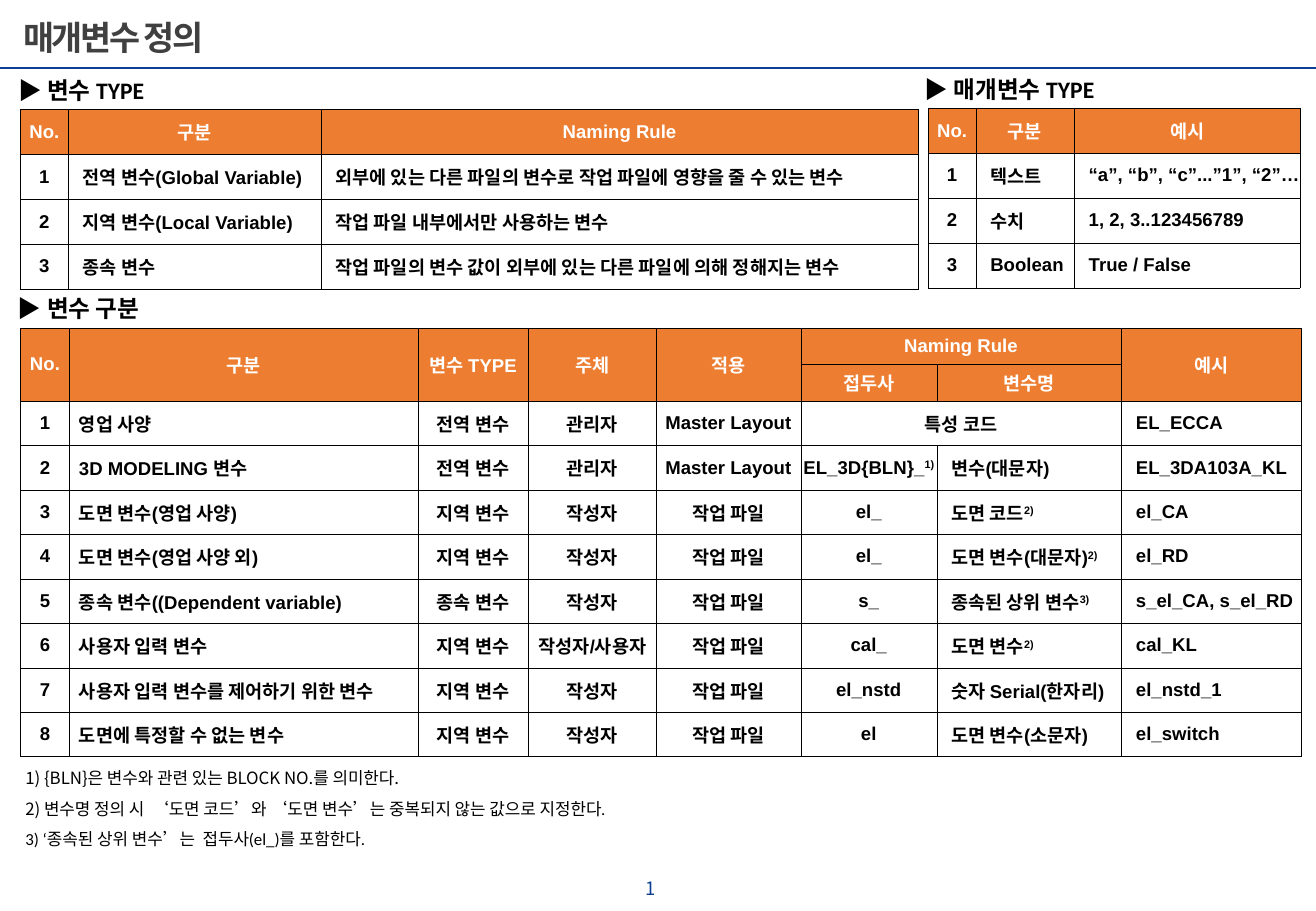
from lxml.etree import SubElement
from pptx import Presentation
from pptx.dml.color import RGBColor as Rgb
from pptx.enum.shapes import MSO_CONNECTOR as Connector
from pptx.enum.text import MSO_ANCHOR as Anchor, MSO_AUTO_SIZE as AutoSize, PP_ALIGN as Align
from pptx.oxml import parse_xml
from pptx.oxml.ns import nsdecls, qn
from pptx.util import Inches, Pt

COLORS = {"orange": "ED7D31", "blue": "0D3F93", "grey": "404040",
          "black": "000000", "white": "FFFFFF"}
KOREAN = "Noto Sans CJK KR"
LATIN = "Calibri"

TYPE_ROWS = [
    ["No.", "구분", "Naming Rule"],
    ["1", "전역 변수(Global Variable)", "외부에 있는 다른 파일의 변수로 작업 파일에 영향을 줄 수 있는 변수"],
    ["2", "지역 변수(Local Variable)", "작업 파일 내부에서만 사용하는 변수"],
    ["3", "종속 변수", "작업 파일의 변수 값이 외부에 있는 다른 파일에 의해 정해지는 변수"],
]
PARAMETER_ROWS = [
    ["No.", "구분", "예시"],
    ["1", "텍스트", "“a”, “b”, “c”...”1”, “2”…"],
    ["2", "수치", "1, 2, 3..123456789"],
    ["3", "Boolean", "True / False"],
]
# A caret starts a superscript
VARIABLE_ROWS = [
    ["No.", "구분", "변수 TYPE", "주체", "적용", "Naming Rule", "", "예시"],
    ["", "", "", "", "", "접두사", "변수명", ""],
    ["1", "영업 사양", "전역 변수", "관리자", "Master Layout", "특성 코드", "", "EL_ECCA"],
    ["2", "3D MODELING 변수", "전역 변수", "관리자", "Master Layout",
     "EL_3D{BLN}_^1)", "변수(대문자)", "EL_3DA103A_KL"],
    ["3", "도면 변수(영업 사양)", "지역 변수", "작성자", "작업 파일", "el_", "도면 코드^2)", "el_CA"],
    ["4", "도면 변수(영업 사양 외)", "지역 변수", "작성자", "작업 파일",
     "el_", "도면 변수(대문자)^2)", "el_RD"],
    ["5", "종속 변수((Dependent variable)", "종속 변수", "작성자", "작업 파일",
     "s_", "종속된 상위 변수^3)", "s_el_CA, s_el_RD"],
    ["6", "사용자 입력 변수", "지역 변수", "작성자/사용자", "작업 파일",
     "cal_", "도면 변수^2)", "cal_KL"],
    ["7", "사용자 입력 변수를 제어하기 위한 변수", "지역 변수", "작성자", "작업 파일",
     "el_nstd", "숫자 Serial(한자리)", "el_nstd_1"],
    ["8", "도면에 특정할 수 없는 변수", "지역 변수", "작성자", "작업 파일",
     "el", "도면 변수(소문자)", "el_switch"],
]
HEADER_SPANS = [((0, col), (1, col)) for col in (0, 1, 2, 3, 4, 7)]
VARIABLE_SPANS = HEADER_SPANS + [((0, 5), (0, 6)), ((2, 5), (2, 6))]
NOTES = [
    [("1) {BLN}은 변수와 관련 있는 BLOCK NO.를 의미한다.", KOREAN)],
    [("2) ", KOREAN),
     ("변수명 정의 시  ‘도면 코드’와 ‘도면 변수’는 중복되지 않는 값으로 지정한다.", LATIN)],
    [("3) ‘종속된 상위 변수’는  접두사(el_)를 포함한다.", LATIN)],
]


def set_values(target, values):
    for name, value in values.items():
        setattr(target, name, value)


def add_span(para, text, font, size, color, bold=False):
    span = para.add_run()
    span.text = text
    set_values(span.font, {"name": font, "size": Pt(size), "bold": bold})
    span.font.color.rgb = Rgb.from_string(COLORS[color])
    SubElement(span.font._element, qn("a:ea"), typeface=KOREAN)
    return span


def add_frame(page, box, **values):
    frame = page.shapes.add_textbox(*map(Inches, box)).text_frame
    set_values(frame, {"word_wrap": True, **values})
    return frame


def add_title(page, box):
    frame = add_frame(page, box, word_wrap=False, vertical_anchor=Anchor.MIDDLE,
                      margin_left=Inches(0.08), margin_right=Inches(0.08),
                      margin_top=0, margin_bottom=0)
    span = add_span(frame.paragraphs[0], "매개변수 정의", KOREAN, 20, "grey", True)
    span.font._element.set("spc", "-140")


def add_rule(page, width, top):
    rule = page.shapes.add_connector(
        Connector.STRAIGHT, 0, Inches(top), Inches(width), Inches(top))
    rule.line.color.rgb = Rgb.from_string(COLORS["blue"])
    rule.line.width = Pt(1.2)
    SubElement(rule._element.spPr, qn("a:effectLst"))


def add_heading(page, box, text):
    frame = add_frame(page, box, auto_size=AutoSize.SHAPE_TO_FIT_TEXT)
    add_span(frame.paragraphs[0], text, LATIN, 14, "black", True)


def add_borders(cell):
    props = cell._tc.get_or_add_tcPr()
    for index, side in enumerate(("lnL", "lnR", "lnT", "lnB")):
        props.insert(index, parse_xml(
            f'<a:{side} {nsdecls("a")} w="3175"><a:solidFill>'
            f'<a:srgbClr val="{COLORS["black"]}"/></a:solidFill></a:{side}>'))


def fill_cell(cell, text, indent, is_header):
    centred = is_header or indent is None
    set_values(cell, {
        "margin_left": 0 if centred else Inches(indent), "margin_right": 0,
        "margin_top": 0, "margin_bottom": 0, "vertical_anchor": Anchor.MIDDLE})
    if is_header:
        cell.fill.solid()
        cell.fill.fore_color.rgb = Rgb.from_string(COLORS["orange"])
    else:
        cell.fill.background()
    add_borders(cell)
    para = cell.text_frame.paragraphs[0]
    para.alignment = Align.CENTER if centred else Align.LEFT
    for index, part in enumerate(text.split("^")):
        span = add_span(para, part, "Arial", 11, "white" if is_header else "black", True)
        if index:
            span.font._element.set("baseline", "30000")


def add_grid(page, box, rows, widths, indents, header_heights, spans=()):
    """An indent of None centres its column."""
    table = page.shapes.add_table(len(rows), len(widths), *map(Inches, box)).table
    set_values(table, {"first_row": False, "horz_banding": False})
    for column, width in zip(table.columns, widths):
        column.width = Inches(width)
    headers = len(header_heights)
    body_height = (box[3] - sum(header_heights)) / (len(rows) - headers)
    for index, row in enumerate(table.rows):
        row.height = Inches(header_heights[index] if index < headers else body_height)
    for first, last in spans:
        table.cell(*first).merge(table.cell(*last))
    for row_index, row in enumerate(rows):
        for col_index, text in enumerate(row):
            fill_cell(table.cell(row_index, col_index), text,
                      indents[col_index], row_index < headers)


def add_notes(page, box):
    frame = add_frame(page, box, auto_size=AutoSize.SHAPE_TO_FIT_TEXT)
    for index, parts in enumerate(NOTES):
        para = frame.add_paragraph() if index else frame.paragraphs[0]
        para.line_spacing = 1.5
        for text, font in parts:
            add_span(para, text, font, 10, "black")


def add_page_number(page, box):
    frame = add_frame(page, box)
    add_span(frame.paragraphs[0], "1", KOREAN, 10.9, "blue")


def main():
    deck = Presentation()
    set_values(deck, {"slide_width": Inches(10.83), "slide_height": Inches(7.5)})
    page = deck.slides.add_slide(deck.slide_layouts[6])

    # Title band
    add_rule(page, 10.83, 0.56)
    add_title(page, (0.11, 0.09, 9.72, 0.43))

    # Variable types
    add_heading(page, (0.05, 0.58, 2.12, 0.34), "▶ 변수 TYPE")
    add_grid(page, (0.17, 0.9, 7.39, 1.48), TYPE_ROWS,
             (0.39, 2.08, 4.92), (None, 0.12, 0.12), (0.37,))

    # Parameter types
    add_heading(page, (7.51, 0.57, 1.89, 0.34), "▶ 매개변수 TYPE")
    add_grid(page, (7.64, 0.89, 3.06, 1.48), PARAMETER_ROWS,
             (0.39, 0.81, 1.86), (None, 0.12, 0.12), (0.37,))

    # Variable classes
    add_heading(page, (0.05, 2.37, 1.96, 0.34), "▶ 변수 구분")
    add_grid(page, (0.17, 2.7, 10.54, 3.53), VARIABLE_ROWS,
             (0.4, 2.87, 0.91, 1.05, 1.19, 1.12, 1.52, 1.48),
             (None, 0.08, None, None, None, None, 0.12, 0.12),
             (0.3, 0.3), VARIABLE_SPANS)

    # Footer
    add_notes(page, (0.11, 6.19, 9.84, 0.83))
    add_page_number(page, (5.21, 7.17, 0.41, 0.33))
    deck.save("out.pptx")


if __name__ == "__main__":
    main()
